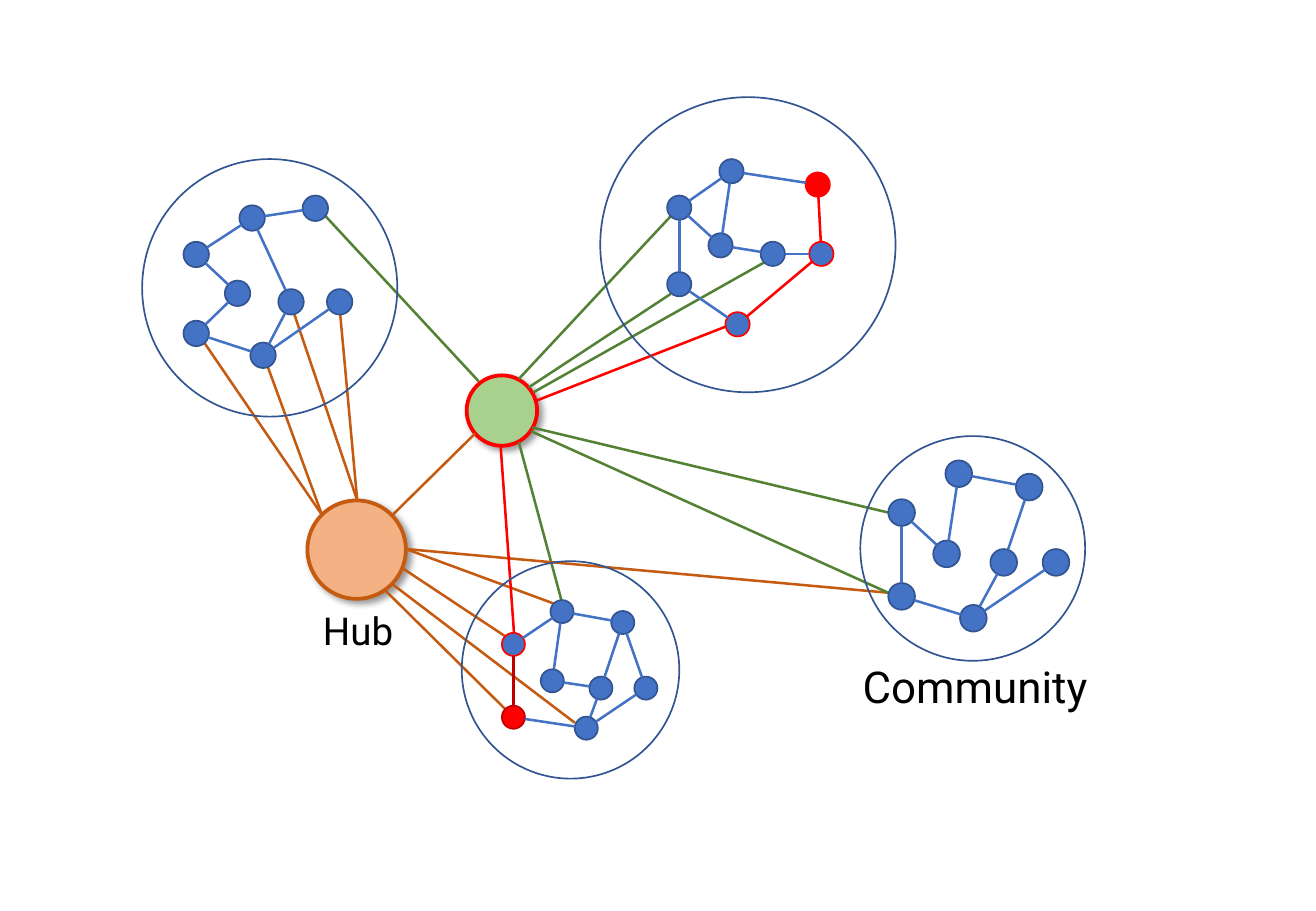
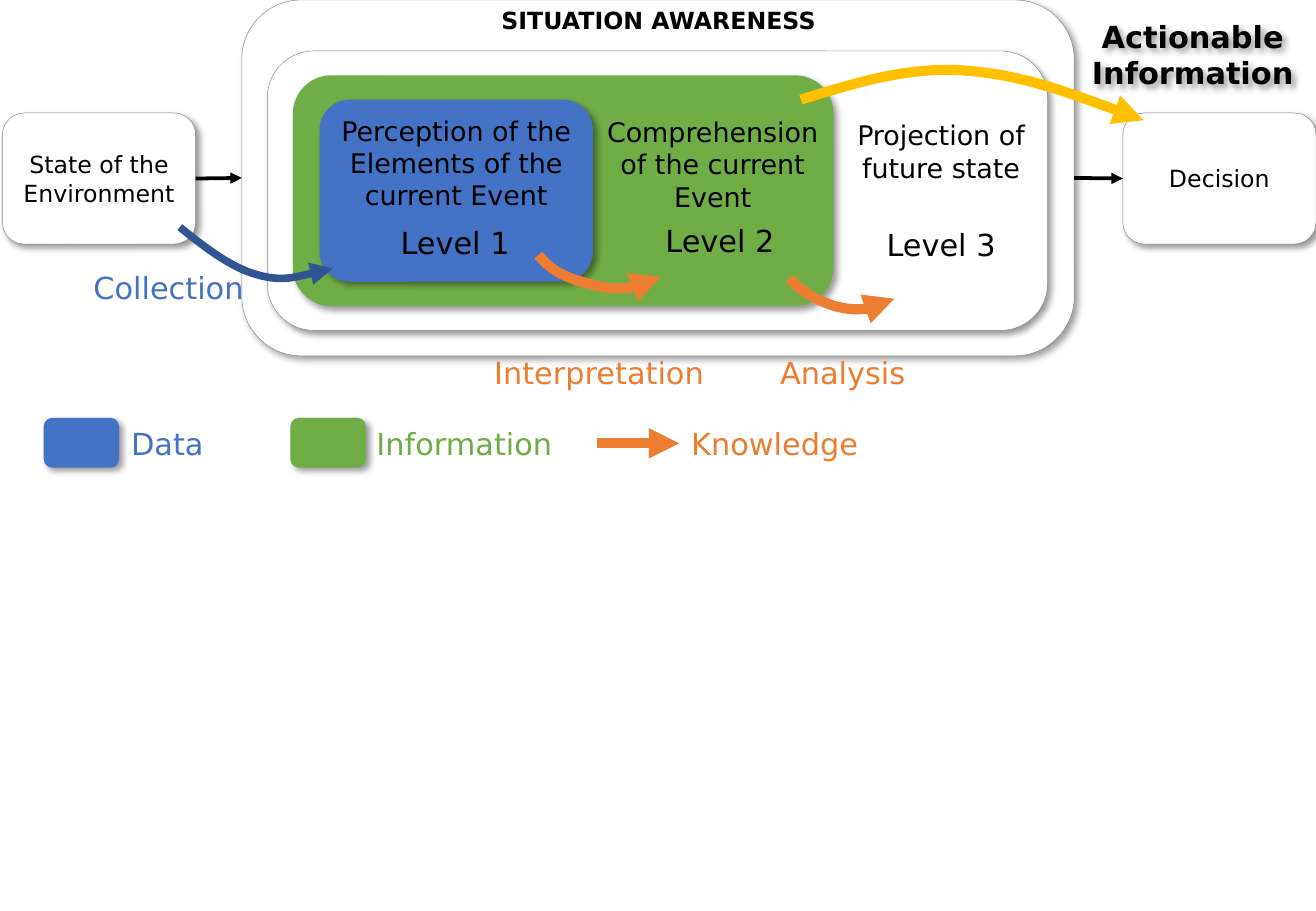
"""Build a network diagram and a situation awareness diagram."""
from dataclasses import dataclass
from math import hypot
from typing import Any, NamedTuple, Optional

from lxml import etree
from pptx import Presentation
from pptx import util as u
from pptx.dml.color import RGBColor
from pptx.enum import shapes, text
from pptx.oxml import ns

PX = 9144
BLACK = RGBColor(0, 0, 0)
WHITE = RGBColor(255, 255, 255)
GRAY = RGBColor(0x80, 0x80, 0x80)
BLUE = RGBColor(0x44, 0x72, 0xC4)
NAVY = RGBColor(0x32, 0x54, 0x91)
RED = RGBColor(255, 0, 0)
DARK = RGBColor(0xC0, 0, 0)
MOSS = RGBColor(0x54, 0x82, 0x35)
MINT = RGBColor(0xA9, 0xD1, 0x8E)
GREEN = RGBColor(0x70, 0xAD, 0x47)
RUST = RGBColor(0xC5, 0x5A, 0x11)
PEACH = RGBColor(0xF4, 0xB1, 0x83)
ORANGE = RGBColor(0xED, 0x7D, 0x31)
GOLD = RGBColor(0xFF, 0xC0, 0)
SANS = "DejaVu Sans"
ROBOTO = "Roboto"
OVAL = shapes.MSO_SHAPE.OVAL
ROUND = shapes.MSO_SHAPE.ROUNDED_RECTANGLE
LEFT = text.PP_ALIGN.LEFT
MID = text.PP_ALIGN.CENTER

Point = tuple[int, int]
Box = tuple[int, int, int, int]


class Node(NamedTuple):
    x: int
    y: int
    fill: RGBColor = BLUE
    line: RGBColor = NAVY


class Edge(NamedTuple):
    a: int
    b: int
    color: RGBColor = BLUE


class Link(NamedTuple):
    a: Point
    b: Point
    color: RGBColor


class Panel(NamedTuple):
    box: Box
    fill: RGBColor
    line: Optional[RGBColor] = None


class Curve(NamedTuple):
    points: list[Point]
    color: RGBColor
    width: float


class Label(NamedTuple):
    box: Box
    words: str
    size: float
    color: RGBColor = BLACK
    align: Any = MID
    bold: bool = False
    font: str = SANS
    shade: bool = False


@dataclass
class Group:
    ring: Box
    size: int
    nodes: list[Node]
    edges: list[Edge]


HUBS = [(Panel((384, 309, 58, 58), MINT, RED)), (Panel((253, 412, 81, 81), PEACH, RUST))]
LINKS = [
    Link((267, 177), (394, 314), MOSS),
    Link((552, 242), (435, 319), MOSS),
    Link((629, 216), (439, 323), MOSS),
    Link((552, 178), (427, 312), MOSS),
    Link((462, 494), (427, 364), MOSS),
    Link((731, 422), (438, 352), MOSS),
    Link((265, 424), (220, 301), RUST),
    Link((265, 424), (168, 282), RUST),
    Link((294, 412), (242, 258), RUST),
    Link((294, 412), (280, 259), RUST),
    Link((323, 424), (391, 357), RUST),
    Link((334, 452), (456, 497), RUST),
    Link((334, 452), (731, 488), RUST),
    Link((330, 467), (416, 524), RUST),
    Link((316, 485), (416, 584), RUST),
    Link((323, 481), (473, 595), RUST),
    Link((597, 269), (441, 330), RED),
    Link((423, 521), (412, 367), RED),
    Link((731, 488), (437, 355), MOSS),
]
GROUPS = [
    Group((117, 131, 210, 212), 21,
          [Node(151, 199), Node(229, 238), Node(151, 264), Node(206, 282),
           Node(269, 238), Node(185, 231), Node(249, 161), Node(197, 169)],
          [Edge(7, 6), Edge(7, 1), Edge(0, 7), Edge(0, 5),
           Edge(5, 2), Edge(3, 2), Edge(4, 3), Edge(1, 3)]),
    Group((494, 80, 243, 243), 20,
          [Node(549, 161), Node(626, 199), Node(549, 224), Node(597, 257, BLUE, RED),
           Node(666, 199, BLUE, RED), Node(583, 192), Node(663, 142, RED, RED), Node(592, 131)],
          [Edge(0, 7), Edge(6, 7), Edge(4, 6, RED), Edge(4, 1), Edge(4, 3, RED),
           Edge(2, 3), Edge(2, 0), Edge(5, 0), Edge(7, 5), Edge(1, 5)]),
    Group((380, 462, 179, 179), 19,
          [Node(413, 521, BLUE, RED), Node(485, 557), Node(413, 581, RED, DARK), Node(473, 590),
           Node(522, 557), Node(445, 551), Node(503, 503), Node(453, 494)],
          [Edge(0, 7), Edge(5, 7), Edge(6, 7), Edge(4, 6), Edge(1, 6),
           Edge(5, 1), Edge(1, 3), Edge(4, 3), Edge(3, 2), Edge(0, 2, DARK)]),
    Group((708, 359, 185, 185), 22,
          [Node(731, 411), Node(815, 452), Node(731, 480), Node(790, 498),
           Node(858, 452), Node(768, 445), Node(836, 390), Node(778, 379)],
          [Edge(2, 3), Edge(2, 0), Edge(5, 0), Edge(4, 3),
           Edge(1, 3), Edge(6, 1), Edge(7, 6), Edge(5, 7)]),
]
NAMES = [
    Label((256, 495, 96, 48), "Hub", 22.8, align=LEFT, font=ROBOTO),
    Label((700, 538, 235, 54), "Community", 26, align=LEFT, font=ROBOTO),
]
ENDS = [
    (Panel((2, 93, 159, 108), WHITE, GRAY), "State of the\nEnvironment"),
    (Panel((924, 93, 159, 108), WHITE, GRAY), "Decision"),
]
LAYERS = [
    Panel((199, 0, 685, 293), WHITE, GRAY),
    Panel((220, 42, 642, 230), WHITE, GRAY),
    Panel((241, 62, 445, 190), GREEN),
    Panel((263, 82, 225, 150), BLUE),
]
LEVELS = [
    Label((270, 89, 211, 90), "Perception of the Elements of the current Event", 16),
    Label((309, 180, 131, 40), "Level 1", 18),
    Label((487, 90, 199, 91), "Comprehension of the current Event", 16),
    Label((527, 178, 131, 40), "Level 2", 18),
    Label((693, 93, 163, 64), "Projection of future state", 16),
    Label((709, 181, 131, 40), "Level 3", 18),
    Label((364, 0, 356, 34), "SITUATION AWARENESS", 14, bold=True),
]
KEYS = [Panel((36, 344, 62, 41), BLUE), Panel((239, 344, 62, 41), GREEN)]
CURVES = [
    Curve([(148, 187), (169, 204), (190, 220), (211, 226),
           (232, 232), (253, 226), (274, 221)], NAVY, 4.5),
    Curve([(443, 210), (456, 226), (471, 230), (486, 234),
           (500, 238), (529, 240), (544, 228)], ORANGE, 6),
    Curve([(650, 229), (660, 241), (674, 248), (687, 252),
           (699, 255), (724, 257), (736, 246)], ORANGE, 6),
    Curve([(659, 82), (702, 69), (745, 55), (792, 58),
           (839, 61), (890, 80), (941, 99)], GOLD, 6),
]
NOTES = [
    Label((67, 217, 145, 40), "Collection", 18, BLUE, LEFT),
    Label((395, 287, 196, 40), "Interpretation", 18, ORANGE),
    Label((621, 287, 145, 40), "Analysis", 18, ORANGE),
    Label((882, 10, 199, 71), "Actionable Information", 18, bold=True, shade=True),
    Label((98, 345, 111, 40), "Data", 18, BLUE, LEFT),
    Label((300, 345, 173, 40), "Information", 18, GREEN, LEFT),
    Label((559, 345, 173, 40), "Knowledge", 18, ORANGE, LEFT),
]


def px(*nums: float) -> list[int]:
    return [round(n * PX) for n in nums]


def cast(shape: Any) -> None:
    shape.shadow.inherit = False
    fx = shape.element.spPr.find(ns.qn("a:effectLst"))
    drop = etree.SubElement(fx, ns.qn("a:outerShdw"), blurRad="50800", dist="38100",
                            dir="2700000", algn="tl", rotWithShape="0")
    tint = etree.SubElement(drop, ns.qn("a:prstClr"), val="black")
    etree.SubElement(tint, ns.qn("a:alpha"), val="40000")


def stroke(shape: Any, color: RGBColor, width: float, arrow: bool = False) -> None:
    shape.line.color.rgb = color
    shape.line.width = u.Pt(width)
    if arrow:
        etree.SubElement(shape.line._get_or_add_ln(), ns.qn("a:tailEnd"), type="triangle")


def draw(host: Any, kind: Any, panel: Panel, width: float, shade: bool = True) -> Any:
    shape = host.add_shape(kind, *px(*panel.box))
    shape.fill.solid()
    shape.fill.fore_color.rgb = panel.fill
    if panel.line is None:
        shape.line.fill.background()
    else:
        stroke(shape, panel.line, width)
    if shade:
        cast(shape)
    else:
        shape.shadow.inherit = False
    return shape


def join(host: Any, a: tuple, b: tuple, color: RGBColor, width: float = 1.5,
         arrow: bool = False) -> Any:
    line = host.add_connector(shapes.MSO_CONNECTOR.STRAIGHT, *px(*a, *b))
    stroke(line, color, width, arrow)
    etree.SubElement(line.element.spPr, ns.qn("a:effectLst"))
    return line


def write(frame: Any, label: Label) -> None:
    frame.word_wrap = True
    for i, words in enumerate(label.words.split("\n")):
        para = frame.add_paragraph() if i else frame.paragraphs[0]
        para.alignment = label.align
        run = para.add_run()
        run.text = words
        run.font.name = label.font
        run.font.size = u.Pt(label.size)
        run.font.bold = label.bold
        run.font.color.rgb = label.color


def put(host: Any, label: Label) -> None:
    box = host.add_textbox(*px(*label.box))
    box.text_frame.auto_size = text.MSO_AUTO_SIZE.SHAPE_TO_FIT_TEXT
    write(box.text_frame, label)
    if label.shade:
        cast(box)


def bend(host: Any, curve: Curve) -> None:
    pen = host.build_freeform(*curve.points[0], scale=PX)
    pen.add_line_segments(curve.points[1:], close=False)
    shape = pen.convert_to_shape()
    steps = list(shape.element.iter(ns.qn("a:lnTo")))
    for i in range(0, len(steps), 3):
        cubic = etree.Element(ns.qn("a:cubicBezTo"))
        steps[i].addprevious(cubic)
        for step in steps[i:i + 3]:
            cubic.append(step[0])
            step.getparent().remove(step)
    shape.fill.background()
    shape.shadow.inherit = False
    stroke(shape, curve.color, curve.width, True)


def web(host: Any, group: Group) -> None:
    half = group.size / 2
    for node in group.nodes:
        box = (node.x, node.y, group.size, group.size)
        draw(host, OVAL, Panel(box, node.fill, node.line), 1, False)
    ring = draw(host, OVAL, Panel(group.ring, WHITE, NAVY), 1, False)
    ring.fill.background()
    for edge in group.edges:
        a, b = group.nodes[edge.a], group.nodes[edge.b]
        dx, dy = b.x - a.x, b.y - a.y
        cut = half / hypot(dx, dy)
        start = (a.x + half + dx * cut, a.y + half + dy * cut)
        stop = (b.x + half - dx * cut, b.y + half - dy * cut)
        join(host, start, stop, edge.color)


def network(host: Any) -> None:
    for hub in HUBS:
        draw(host, OVAL, hub, 2.25)
    for link in LINKS:
        join(host, link.a, link.b, link.color)
    for group in GROUPS:
        web(host.add_group_shape().shapes, group)
    for name in NAMES:
        put(host, name)


def aware(host: Any) -> None:
    ends = []
    for panel, words in ENDS:
        end = draw(host, ROUND, panel, 0.25)
        end.text_frame.vertical_anchor = text.MSO_ANCHOR.MIDDLE
        write(end.text_frame, Label(panel.box, words, 14))
        ends.append(end)
    stack = host.add_group_shape().shapes
    outer = [draw(stack, ROUND, layer, 0.25) for layer in LAYERS][0]
    for level in LEVELS:
        put(stack, level)
    for a, b in ((ends[0], outer), (outer, ends[1])):
        line = join(host, (0, 0), (0, 0), BLACK, 2.25, True)
        line.begin_connect(a, 3)
        line.end_connect(b, 1)
    for key in KEYS:
        draw(host, ROUND, key, 0.25)
    for curve in CURVES:
        bend(host, curve)
    join(host, (491, 365), (559, 365), ORANGE, 6, True)
    for note in NOTES:
        put(host, note)


def main() -> None:
    deck = Presentation()
    deck.slide_width, deck.slide_height = px(1083, 750)
    for build in (network, aware):
        build(deck.slides.add_slide(deck.slide_layouts[6]).shapes)
    deck.save("out.pptx")


if __name__ == "__main__":
    main()
